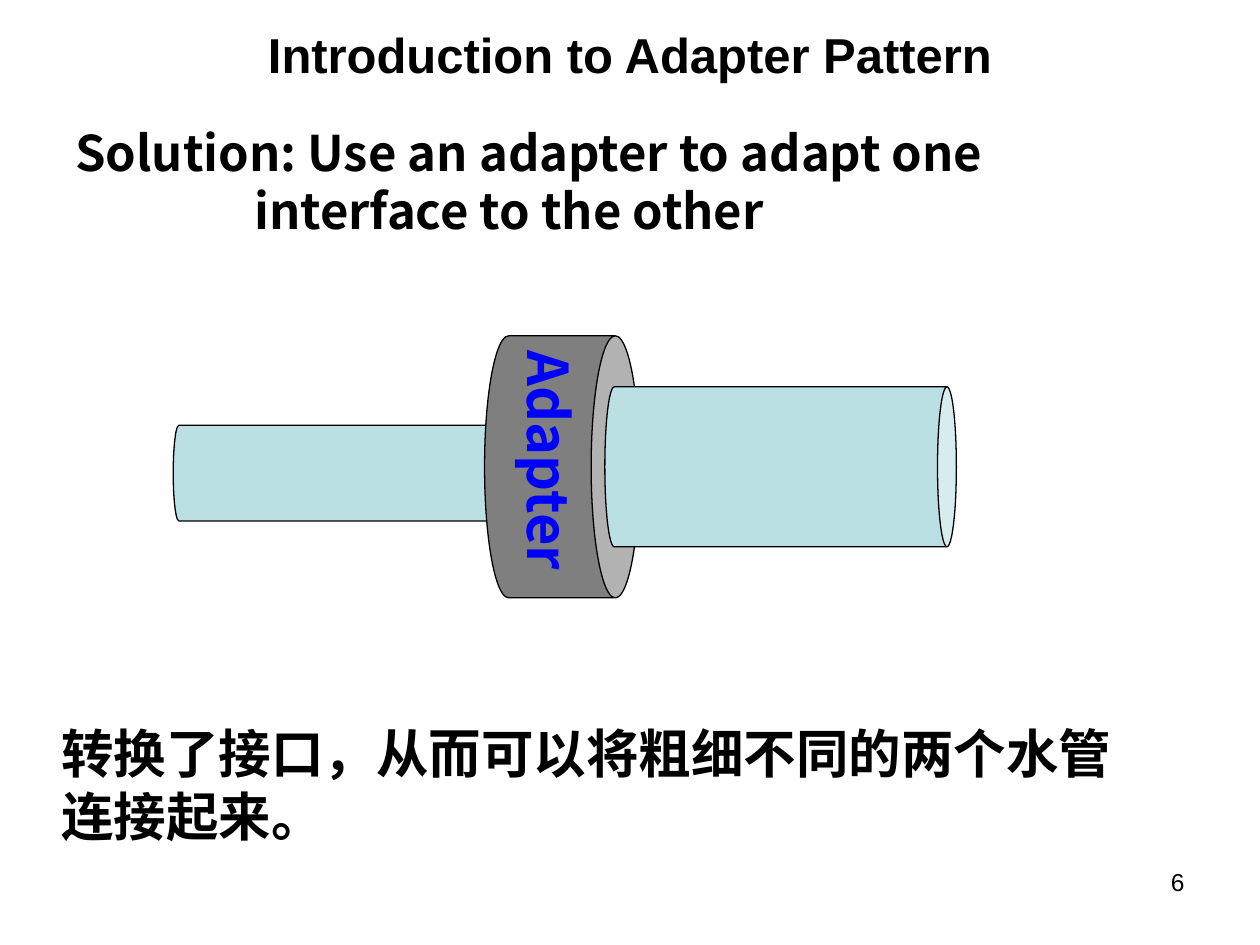
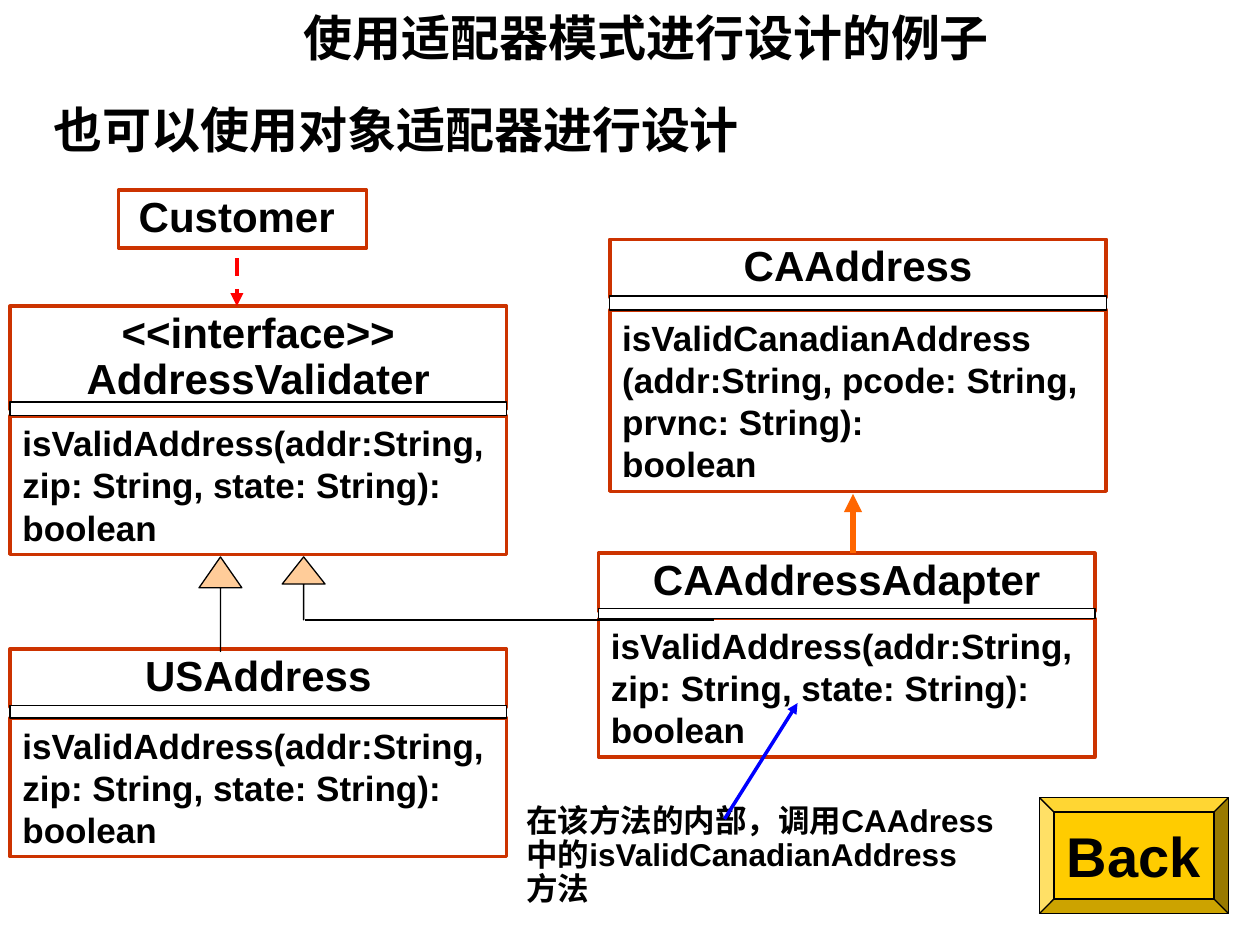
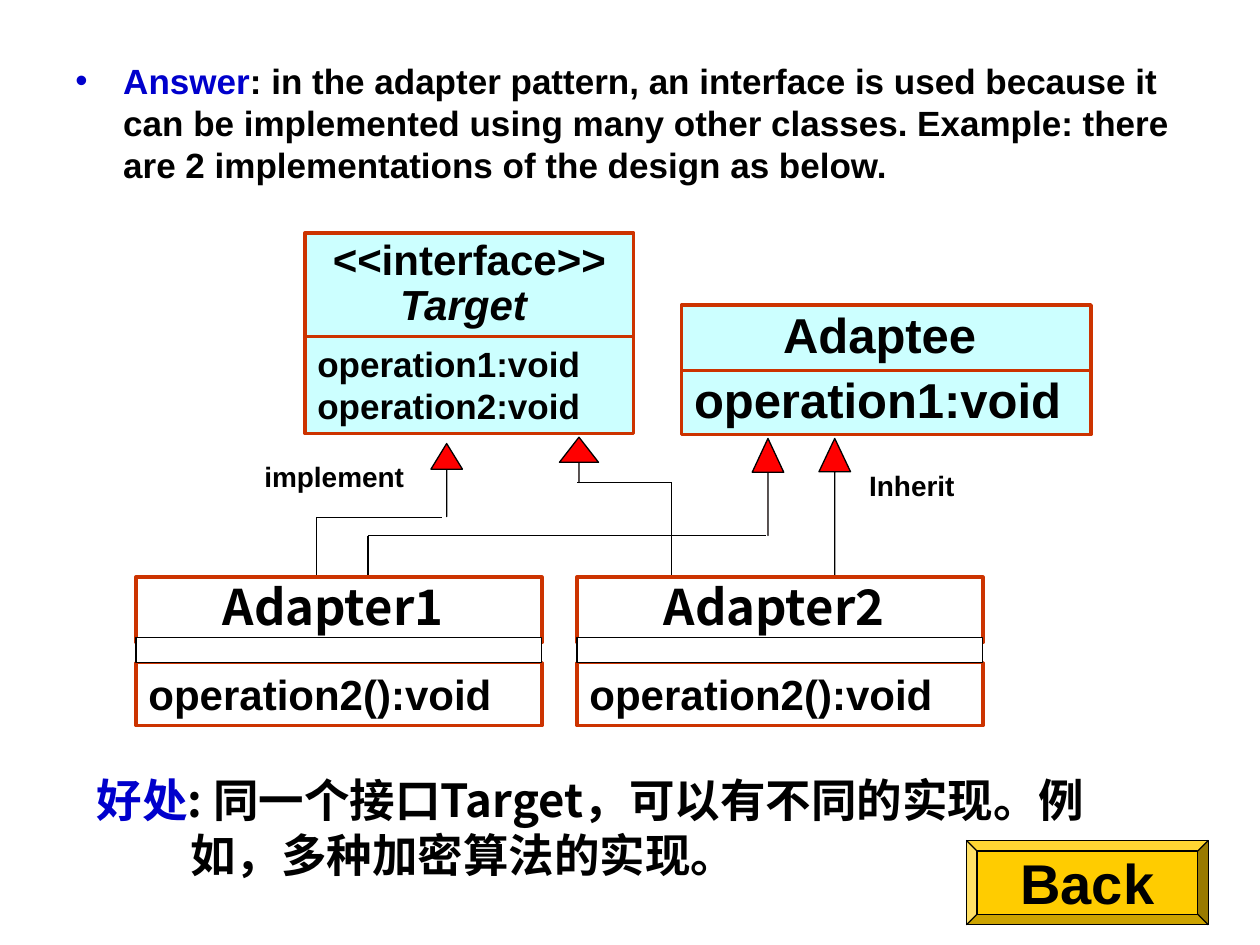
"""Build three slides about the adapter design pattern."""
from lxml import etree
from pptx import Presentation
from pptx import util as u
from pptx.dml.color import RGBColor
from pptx.enum import dml, shapes, text
from pptx.oxml.ns import qn

WIDTH, HEIGHT = 10, 7.5
LATIN, CJK = "Arial", "Noto Sans CJK SC"
BLACK, WHITE, RUST, RED = "000000", "FFFFFF", "CC3300", "FF0000"
BLUE, NAVY, ORANGE, PEACH = "0000FF", "0000CC", "FF6600", "FFCC99"
CYAN, PIPE, GREY, GOLD = "CCFFFF", "BBE0E3", "7F7F7F", "FFCC00"
THIN, EDGE = 0.75, 2
CENTER, RIGHT = text.PP_ALIGN.CENTER, text.PP_ALIGN.RIGHT
MIDDLE = text.MSO_ANCHOR.MIDDLE
SHAPE = shapes.MSO_SHAPE

SOLUTION = ["Solution: Use an adapter to adapt one", "interface to the other"]
PIPES = [
    ((2.39, 2.36, 0.76, 2.79), 0.118, PIPE, ""),
    ((3.42, 3.09, 2.08, 1.23), 0.312, GREY, "Adapter "),
    ((5.56, 2.31, 1.27, 2.79), 0.118, PIPE, ""),
]

VALIDATION = ["isValidAddress(addr:String,", "zip: String, state: String):", "boolean"]
CANADIAN = ["isValidCanadianAddress", "(addr:String, pcode: String, prvnc: String):", "boolean"]
ADDRESS_CLASSES = [
    dict(left=0.08, top=5.15, divider=5.6, body=5.7, title=["USAddress"], methods=VALIDATION),
    dict(left=4.84, top=1.9, divider=2.35, body=2.46, title=["CAAddress"],
         methods=CANADIAN, body_height=1.44),
    dict(left=4.75, top=4.39, divider=4.83, body=4.91, title=["CAAddressAdapter"],
         methods=VALIDATION),
    dict(left=0.08, top=2.43, divider=3.19, body=3.3, title_height=0.82,
         title=["<<interface>>", "AddressValidater"], methods=VALIDATION),
]
ADDRESS_ARROWS = [((1.58, 4.42, 0.34, 0.75), 0.721), ((2.24, 4.42, 0.34, 0.5), 0.634)]
CALL_NOTE = ["在该方法的内部，调用CAAdress中的isValidCanadianAddress", "方法"]

ANSWER = [[
    ("Answer", dict(color=NAVY)),
    (": in the adapter pattern, an interface is used because it can be implemented using many "
     "other classes. Example: there are 2 implementations of the design as below.", {}),
]]
PATTERN_CLASSES = [
    dict(left=2.42, top=1.85, body=2.67, width=2.61, fill=CYAN, title_height=0.82,
         body_height=0.77, title=["<<interface>>", [("Target ", dict(italic=True))]],
         methods=["operation1:void", "operation2:void"]),
    dict(left=5.41, top=2.42, body=2.88, width=3.25, fill=CYAN, title_height=0.52,
         body_height=0.57, title=["Adaptee "], methods=["operation1:void"],
         title_size=28, body_size=28),
]
ADAPTERS = [("Adapter1", 1.08), ("Adapter2", 4.58)]
LABELS = [("Inherit", (6.8, 3.67, 0.95, 0.37)), ("implement", (2, 3.6, 1.32, 0.37))]
PATTERN_ARROWS = [
    ((3.42, 3.52, 0.25, 0.58), 0.815), ((5.97, 3.48, 0.25, 0.77), 1.073),
    ((6.5, 3.48, 0.25, 1.1), 1.056), ((4.44, 3.47, 0.31, 0.36), 0.644),
]
ROUTES = [
    [(2.51, 4.61), (2.51, 4.11), (3.51, 4.11)],
    [(2.92, 4.58), (2.92, 4.25), (6.08, 4.25)],
    [(5.33, 4.58), (5.33, 3.83), (4.58, 3.83)],
]
BENEFIT = [
    [("好处", dict(color=NAVY)), (": 同一个接口Target，可以有不同的实现。例", {})],
    "如，多种加密算法的实现。",
]


def rgb(value):
    return RGBColor.from_string(value)


def inches(values):
    return [u.Inches(value) for value in values]


def add_run(paragraph, words, size=24, font=LATIN, color=BLACK, bold=True, italic=False):
    run = paragraph.add_run()
    run.text = words
    run.font.size, run.font.bold, run.font.italic = u.Pt(size), bold, italic
    run.font.color.rgb = rgb(color)
    run.font.name = font
    etree.SubElement(run._r.get_or_add_rPr(), qn("a:ea"), typeface=CJK)


def add_bullet(properties, color):
    bullet_color = etree.SubElement(properties, qn("a:buClr"))
    etree.SubElement(bullet_color, qn("a:srgbClr"), val=color)
    etree.SubElement(properties, qn("a:buFont"), typeface=LATIN)
    etree.SubElement(properties, qn("a:buChar"), char="•")


def write(shape, paragraphs, align=text.PP_ALIGN.LEFT, anchor=text.MSO_ANCHOR.TOP, wrap=True,
          spacing=None, indents=(), bullet=None, **style):
    frame = shape.text_frame
    frame.word_wrap, frame.vertical_anchor = wrap, anchor
    for index, runs in enumerate(paragraphs):
        paragraph = frame.paragraphs[0] if index == 0 else frame.add_paragraph()
        properties = paragraph._p.get_or_add_pPr()
        if indents:
            margin, first = indents[index]
            properties.set("marL", str(u.Inches(margin)))
            properties.set("indent", str(u.Inches(first)))
        if bullet:
            add_bullet(properties, bullet)
        paragraph.alignment = align
        if spacing:
            paragraph.line_spacing = spacing
        for words, changes in [(runs, {})] if isinstance(runs, str) else runs:
            add_run(paragraph, words, **{**style, **changes})


def add_text(slide, box, paragraphs, **style):
    write(slide.shapes.add_textbox(*inches(box)), paragraphs, **style)


def add_title(slide, box, words):
    add_text(slide, box, [words], size=28, align=CENTER, anchor=MIDDLE)


def add_figure(slide, kind, box, fill, line=BLACK, weight=THIN, adjustments=()):
    shape = slide.shapes.add_shape(kind, *inches(box))
    shape.shadow.inherit = False
    shape.fill.solid()
    shape.fill.fore_color.rgb = rgb(fill)
    shape.line.color.rgb = rgb(line)
    shape.line.width = u.Pt(weight)
    for index, value in enumerate(adjustments):
        shape.adjustments[index] = value
    return shape


def add_line(slide, start, end, color=BLACK, weight=THIN, arrow=False, dash=None):
    line = slide.shapes.add_connector(shapes.MSO_CONNECTOR.STRAIGHT, *inches(start + end))
    line.line.color.rgb = rgb(color)
    line.line.width = u.Pt(weight)
    if dash:
        line.line.dash_style = dash
    if arrow:
        etree.SubElement(line.line._get_or_add_ln(), qn("a:tailEnd"), type="triangle")
    etree.SubElement(line._element.spPr, qn("a:effectLst"))


def add_arrows(slide, arrows, fill):
    for box, head in arrows:
        add_figure(slide, SHAPE.UP_ARROW, box, fill, adjustments=(0, head))


def add_class(slide, left, top, body, title, methods, divider=None, width=3.94, fill=WHITE,
              title_height=0.46, body_height=1.1, title_size=24, body_size=20):
    box = (left, body, width, body_height)
    write(add_figure(slide, SHAPE.RECTANGLE, box, fill, RUST, EDGE), methods, size=body_size)
    box = (left, top, width, title_height)
    write(add_figure(slide, SHAPE.RECTANGLE, box, fill, RUST, EDGE), title,
          size=title_size, align=CENTER, spacing=0.9)
    if divider:
        add_figure(slide, SHAPE.RECTANGLE, (left, divider, width, body - divider), fill)


def add_back_button(slide, box):
    button = add_figure(slide, SHAPE.BEVEL, box, GOLD, adjustments=(0.125,))
    write(button, ["Back"], size=32, align=CENTER, anchor=MIDDLE, wrap=False)


def build_introduction(slide):
    add_text(slide, (7.17, 6.83, 2.33, 0.52), ["6"], size=14, bold=False, align=RIGHT)
    add_text(slide, (0.5, 0.92, 9, 1.04), SOLUTION, size=28, font=CJK,
             indents=[(0, 0), (1.42, 0)])
    for box, cap, fill, label in PIPES:
        pipe = add_figure(slide, SHAPE.CAN, box, fill, adjustments=(cap,))
        pipe.rotation = 90
        if label:
            write(pipe, [label], size=32, font=CJK, color=BLUE, align=CENTER,
                  anchor=MIDDLE, wrap=False)
    add_title(slide, (0.5, 0.08, 9, 0.7), "Introduction to Adapter Pattern")
    add_text(slide, (0.39, 5.67, 8.86, 1.1),
             ["转换了接口，从而可以将粗细不同的两个水管连接起来。"], size=30, font=CJK)


def build_address_example(slide):
    customer = add_figure(slide, SHAPE.RECTANGLE, (0.94, 1.51, 1.97, 0.46), WHITE, RUST, EDGE)
    write(customer, ["Customer "], align=CENTER, spacing=0.9)
    for details in ADDRESS_CLASSES:
        add_class(slide, **details)
    add_line(slide, (1.88, 2.05), (1.88, 2.43), RED, 2.5, True, dml.MSO_LINE.DASH)
    add_line(slide, (6.77, 4.39), (6.77, 3.92), ORANGE, 3.5, True)
    add_text(slide, (4.08, 6.34, 4, 0.91), CALL_NOTE, size=18, spacing=0.9)
    add_line(slide, (5.75, 6.5), (6.33, 5.58), BLUE, 2, True)
    add_text(slide, (0.33, 0.79, 6.17, 0.52), ["也可以使用对象适配器进行设计"],
             size=28, font=CJK, spacing=0.9)
    add_title(slide, (0.92, 0.08, 8.42, 0.42), "使用适配器模式进行设计的例子")
    add_arrows(slide, ADDRESS_ARROWS, PEACH)
    add_line(slide, (2.42, 4.92), (5.67, 4.92))
    add_back_button(slide, (8.25, 6.33, 1.5, 0.92))


def build_answer(slide):
    add_text(slide, (0.5, 0.42, 9, 1.17), ANSWER, size=20, indents=[(0.38, -0.38)], bullet=NAVY)
    for details in PATTERN_CLASSES:
        add_class(slide, **details)
    for label, box in LABELS:
        add_text(slide, box, [label], size=16)
    add_arrows(slide, PATTERN_ARROWS, RED)
    for points in ROUTES:
        for start, end in zip(points, points[1:]):
            add_line(slide, start, end)
    add_text(slide, (0.67, 6.08, 9, 1), BENEFIT, size=26, font=CJK,
             indents=[(0.38, -0.38), (0.74, 0)])
    add_back_button(slide, (7.67, 6.67, 1.92, 0.67))
    for name, left in ADAPTERS:
        title = [[(name, dict(size=28, font=CJK)), (" ", {})]]
        add_class(slide, left, 4.58, 5.26, title, ["operation2():void"], divider=5.06,
                  width=3.22, title_height=0.52, body_height=0.5, body_size=24)


def main():
    presentation = Presentation()
    presentation.slide_width, presentation.slide_height = inches((WIDTH, HEIGHT))
    for build in (build_introduction, build_address_example, build_answer):
        build(presentation.slides.add_slide(presentation.slide_layouts[6]))
    presentation.save("out.pptx")


if __name__ == "__main__":
    main()
